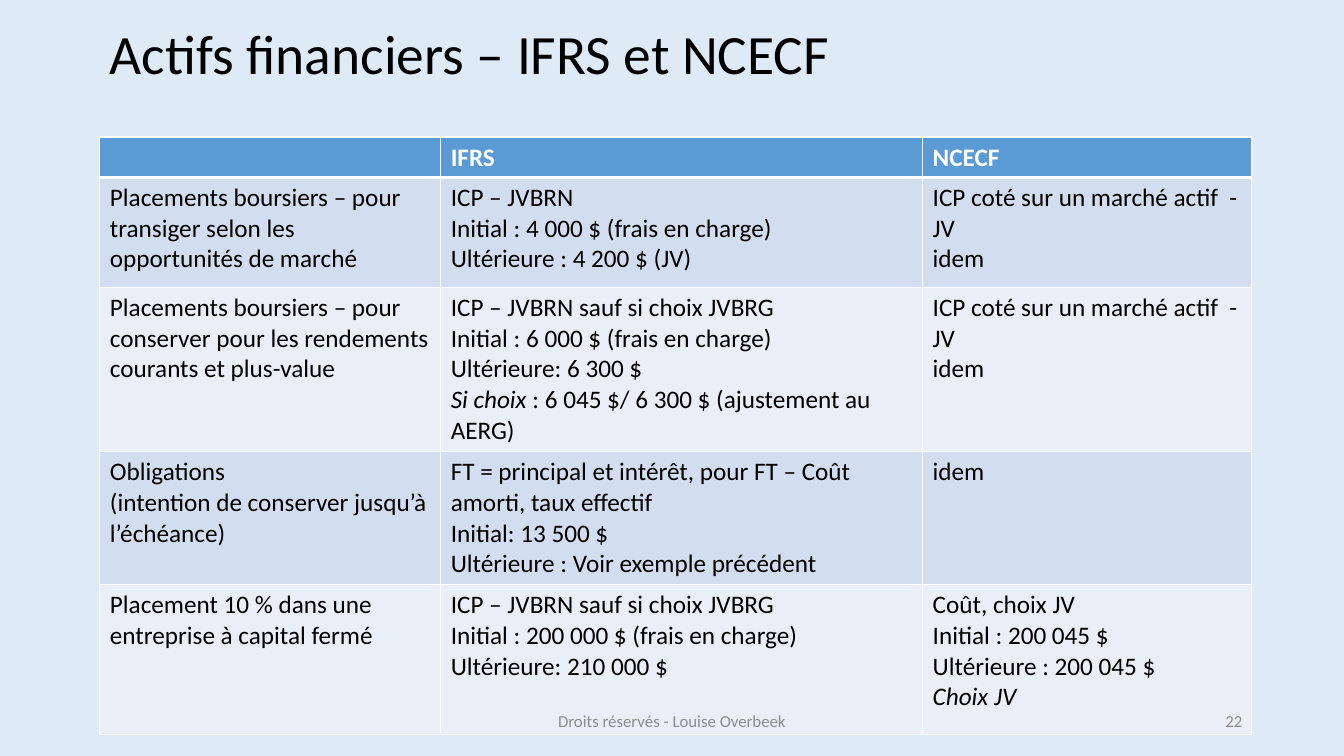
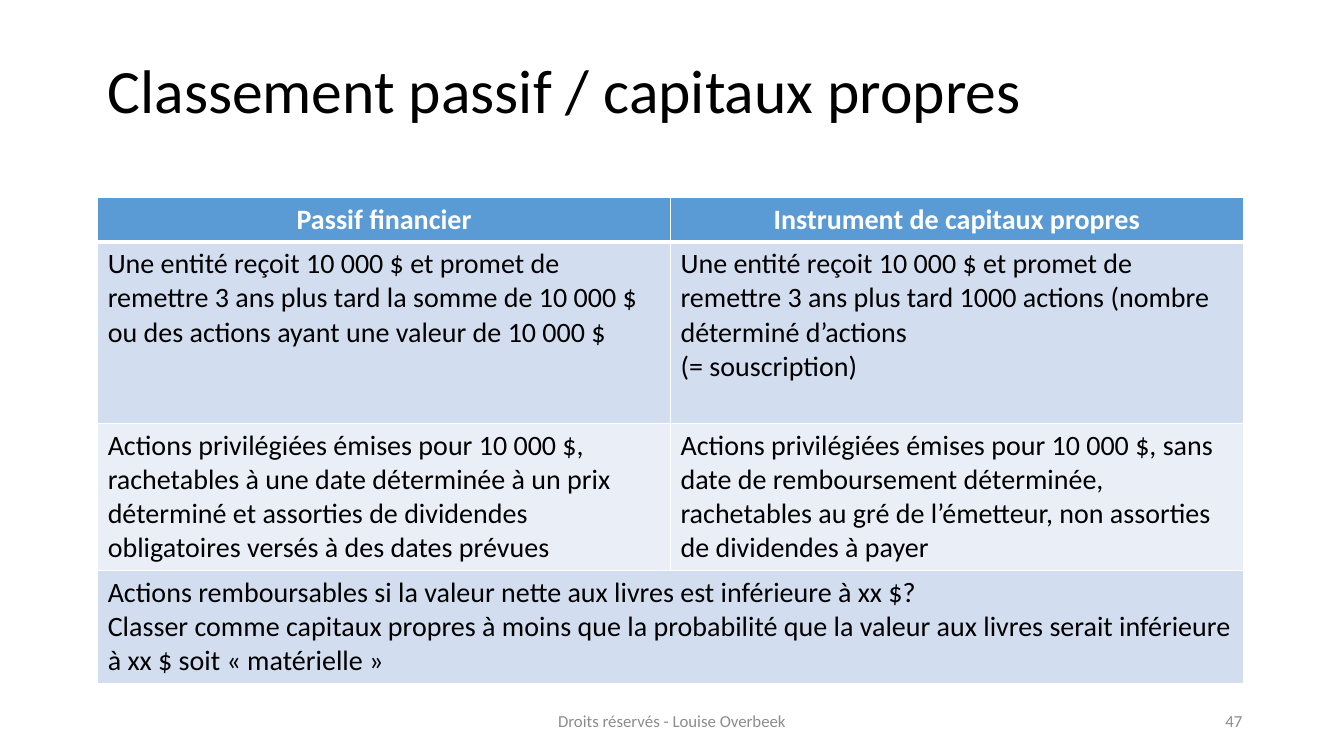
from itertools import product

from lxml import etree
from pptx import Presentation
from pptx import util as u
from pptx.dml.color import RGBColor
from pptx.enum import text
from pptx.oxml import ns

WIDTH, HEIGHT = u.Inches(13.33), u.Inches(7.5)
FONT = "Calibri"
INK = {
    "sky": "DEEBF7", "white": "FFFFFF", "black": "000000", "grey": "8C8C8C",
    "head": "5B9BD5", "odd": "D2DEEF", "even": "EAEFF7",
}
LEFT, MID, RIGHT = text.PP_ALIGN.LEFT, text.PP_ALIGN.CENTER, text.PP_ALIGN.RIGHT
FOOT_TOP, FOOT_TALL = 92.67, 5.33

ASSETS = [
    ["", "IFRS", "NCECF"],
    ["Placements boursiers – pour transiger selon les opportunités de marché",
     "ICP – JVBRN\nInitial : 4 000 $ (frais en charge)\nUltérieure : 4 200 $ (JV)",
     "ICP coté sur un marché actif  - JV\nidem"],
    ["Placements boursiers – pour conserver pour les rendements courants et plus-value",
     "ICP – JVBRN sauf si choix JVBRG\nInitial : 6 000 $ (frais en charge)\n"
     "Ultérieure: 6 300 $\n*Si choix *: 6 045 $/ 6 300 $ (ajustement au AERG)",
     "ICP coté sur un marché actif  - JV\nidem"],
    ["Obligations\n(intention de conserver jusqu’à l’échéance)",
     "FT = principal et intérêt, pour FT – Coût amorti, taux effectif\n"
     "Initial: 13 500 $\nUltérieure : Voir exemple précédent",
     "idem"],
    ["Placement 10 % dans une entreprise à capital fermé",
     "ICP – JVBRN sauf si choix JVBRG\nInitial : 200 000 $ (frais en charge)\n"
     "Ultérieure: 210 000 $",
     "Coût, choix JV\nInitial : 200 045 $\nUltérieure : 200 045 $\n*Choix JV*"],
]

CLAIMS = [
    ["Passif financier", "Instrument de capitaux propres"],
    ["Une entité reçoit 10 000 $ et promet de remettre 3 ans plus tard la somme "
     "de 10 000 $ ou des actions ayant une valeur de 10 000 $",
     "Une entité reçoit 10 000 $ et promet de remettre 3 ans plus tard 1000 actions "
     "(nombre déterminé d’actions\n(= souscription)"],
    ["Actions privilégiées émises pour 10 000 $, rachetables à une date déterminée "
     "à un prix déterminé et assorties de dividendes obligatoires versés à des dates prévues",
     "Actions privilégiées émises pour 10 000 $, sans date de remboursement déterminée, "
     "rachetables au gré de l’émetteur, non assorties de dividendes à payer"],
    ["Actions remboursables si la valeur nette aux livres est inférieure à xx $?\n"
     "Classer comme capitaux propres à moins que la probabilité que la valeur aux livres "
     "serait inférieure à xx $ soit « matérielle »", None],
]


def across(share):
    return round(WIDTH * share / 100)


def down(share):
    return round(HEIGHT * share / 100)


def tint(name):
    return RGBColor.from_string(INK[name])


def write(frame, words, size, ink, align=LEFT, bold=False, pitch=None):
    for i, line in enumerate(words.split("\n")):
        para = frame.add_paragraph() if i else frame.paragraphs[0]
        para.alignment = align
        para.line_spacing = pitch
        para.font.name, para.font.size = FONT, u.Pt(size)
        para.font.bold, para.font.color.rgb = bold, tint(ink)
        for j, part in enumerate(line.split("*")):
            if part:
                run = para.add_run()
                run.text = part
                if j % 2:
                    run.font.italic = True


def label(slide, box, words, size, ink, align=LEFT, pitch=None):
    left, top, wide, tall = box
    shape = slide.shapes.add_textbox(across(left), down(top), across(wide), down(tall))
    frame = shape.text_frame
    frame.word_wrap = True
    frame.vertical_anchor = text.MSO_ANCHOR.MIDDLE
    write(frame, words, size, ink, align, pitch=pitch)


def edge(cell, side, width):
    line = etree.SubElement(cell._tc.get_or_add_tcPr(), ns.qn(f"a:ln{side}"), w=str(u.Pt(width)))
    fill = etree.SubElement(line, ns.qn("a:solidFill"))
    etree.SubElement(fill, ns.qn("a:srgbClr"), val=INK["white"])


def grid(slide, spot, cols, rows, cells, size, align=LEFT):
    left, top = spot
    frame = slide.shapes.add_table(len(rows), len(cols), across(left), down(top),
                                   across(sum(cols)), down(sum(rows)))
    table = frame.table
    for col, share in zip(table.columns, cols):
        col.width = across(share)
    for row, share in zip(table.rows, rows):
        row.height = down(share)
    for r, c in product(range(len(rows)), range(len(cols))):
        cell, words = table.cell(r, c), cells[r][c]
        for side in "LRTB":
            edge(cell, side, 3 if (r, side) in ((0, "B"), (1, "T")) else 1)
        cell.fill.solid()
        cell.fill.fore_color.rgb = tint("head" if r == 0 else "odd" if r % 2 else "even")
        if words is None:
            table.cell(r, c - 1).merge(cell)
        elif r == 0:
            write(cell.text_frame, words, size, "white", align, bold=True)
        else:
            write(cell.text_frame, words, size, "black")


def page(deck, back, title, box, size, number):
    slide = deck.slides.add_slide(deck.slide_layouts[6])
    slide.background.fill.solid()
    slide.background.fill.fore_color.rgb = tint(back)
    label(slide, box, title, size, "black", pitch=0.9)
    return slide, number


def foot(slide, number):
    label(slide, (70.67, FOOT_TOP, 22.5, FOOT_TALL), str(number), 12, "grey", RIGHT)
    label(slide, (33.13, FOOT_TOP, 33.75, FOOT_TALL),
          "Droits réservés - Louise Overbeek", 12, "grey", MID)


def main():
    deck = Presentation()
    deck.slide_width, deck.slide_height = WIDTH, HEIGHT

    slide, number = page(deck, "sky", "Actifs financiers – IFRS et NCECF",
                         (7.43, 4, 85.75, 7.07), 39.6, 22)
    grid(slide, (7.43, 18.13), [25.36, 35.86, 24.46],
         [5.33, 14.53, 21.73, 17.6, 19.87], ASSETS, 18)
    foot(slide, number)

    slide, number = page(deck, "white", "Classement passif / capitaux propres",
                         (7.27, 4, 85.87, 16.67), 44, 47)
    grid(slide, (7.27, 26.13), [42.62] * 2, [5.87, 24, 19.47, 14.93], CLAIMS, 20, MID)
    foot(slide, number)

    deck.save("out.pptx")


if __name__ == "__main__":
    main()
